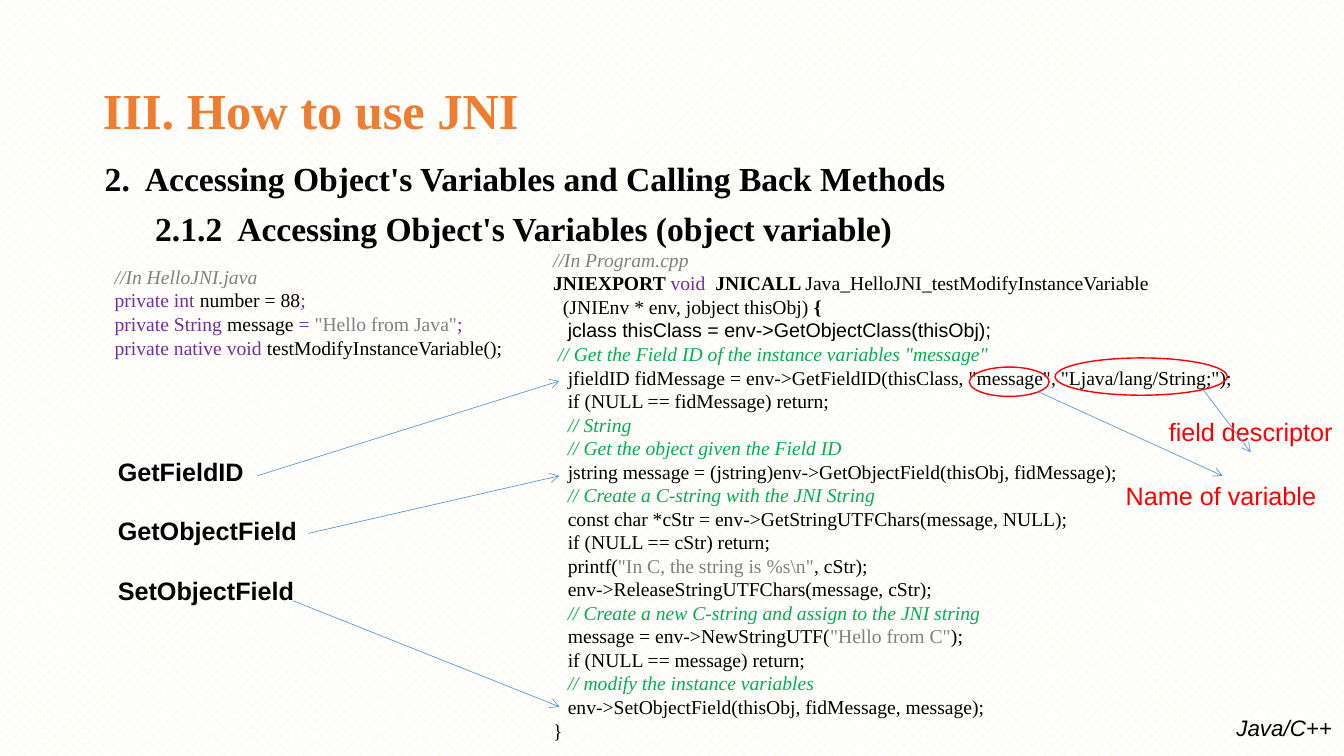
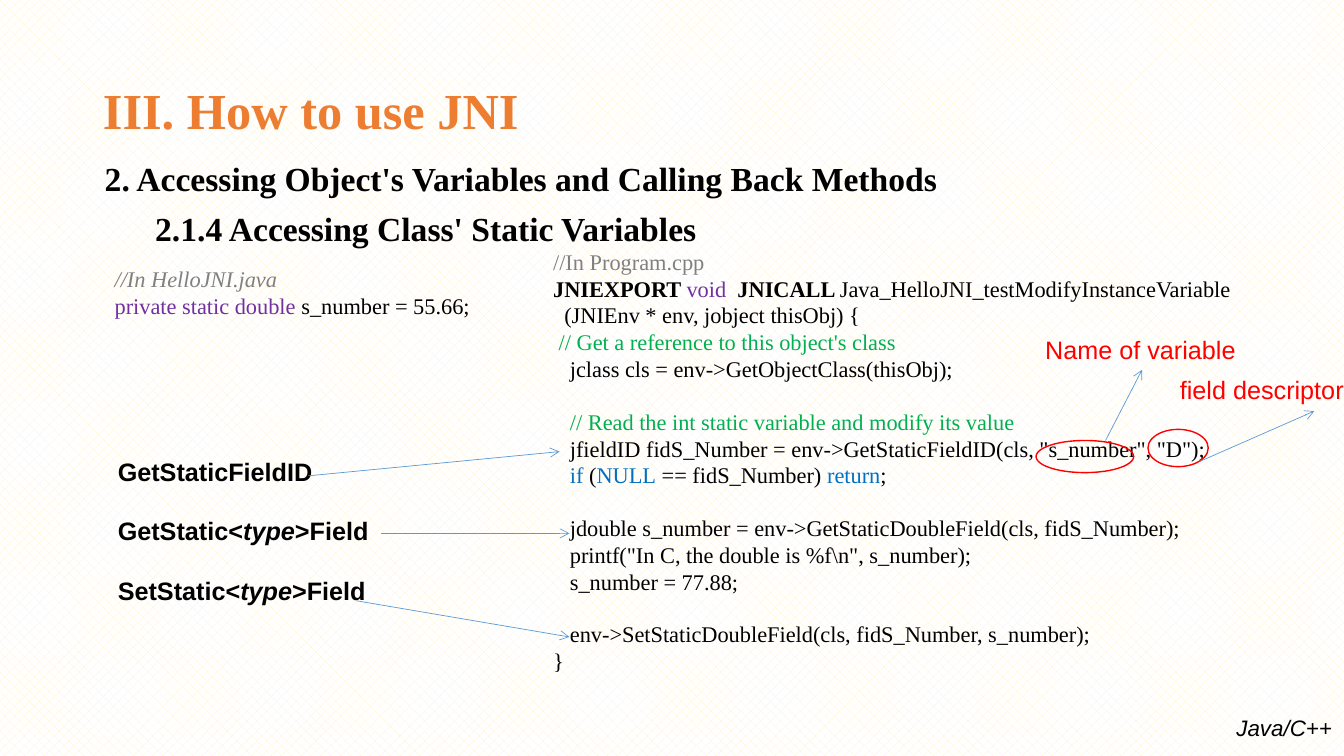
from dataclasses import dataclass, replace

from lxml.etree import SubElement
from pptx import Presentation
from pptx.dml.color import RGBColor
from pptx.enum.dml import MSO_PATTERN
from pptx.enum.shapes import MSO_CONNECTOR, MSO_SHAPE
from pptx.enum.text import MSO_ANCHOR, MSO_AUTO_SIZE, PP_ALIGN
from pptx.oxml.ns import qn
from pptx.util import Cm, Pt

BLACK = RGBColor(0x00, 0x00, 0x00)
WHITE = RGBColor(0xFF, 0xFF, 0xFF)
CREAM = RGBColor(0xFF, 0xF2, 0xCC)
ORANGE = RGBColor(0xED, 0x7D, 0x31)
GRAY = RGBColor(0x80, 0x80, 0x80)
PURPLE = RGBColor(0x70, 0x30, 0xA0)
GREEN = RGBColor(0x00, 0xB0, 0x50)
BLUE = RGBColor(0x00, 0x70, 0xC0)
RED = RGBColor(0xFF, 0x00, 0x00)
ARROW_BLUE = RGBColor(0x5B, 0x9B, 0xD5)
SERIF = "Times New Roman"
SANS = "Arial"
LINE_HEIGHT = 1.15


@dataclass(frozen=True)
class Look:
    color: RGBColor = BLACK
    bold: bool = False
    italic: bool = False
    font: str = SERIF


PLAIN = Look()
BOLD = Look(bold=True)
TITLE = Look(ORANGE, bold=True)
KEYWORD = Look(PURPLE)
STRING = Look(GRAY)
FILE_NOTE = Look(GRAY, italic=True)
COMMENT = Look(GREEN)
COMMENT_ITALIC = Look(GREEN, italic=True)
CONTROL = Look(BLUE)
SANS_PLAIN = Look(font=SANS)
FOOTER = Look(italic=True, font=SANS)
LABEL = Look(bold=True, font=SANS)
LABEL_TYPE = replace(LABEL, italic=True)
CALLOUT = Look(RED, font=SANS)


class Line:
    def __init__(self, *runs, indent=0, gap=False):
        self.runs, self.indent, self.gap = runs, indent, gap


def body(*runs, gap=False):
    return Line(*runs, indent=3, gap=gap)


class Deck:
    def __init__(self):
        self.prs = Presentation()
        self.prs.slide_width, self.prs.slide_height = Cm(33.87), Cm(19.05)
        fill = self.prs.slide_master.background.fill
        fill.patterned()
        fill.pattern = MSO_PATTERN.PERCENT_30
        fill.fore_color.rgb = CREAM
        fill.back_color.rgb = WHITE
        self.s = None

    def start(self, title, *headings):
        self.s = self.prs.slides.add_slide(self.prs.slide_layouts[5])
        self.text(30.91, 17.86, 2.95, 0.94, 16, [Line("Java/C++")], FOOTER)
        sp = self.s.shapes.title
        sp.left, sp.top, sp.width, sp.height = Cm(2.34), Cm(1.02), Cm(29.21), Cm(3.68)
        sp.text_frame.vertical_anchor = MSO_ANCHOR.MIDDLE
        self.set_lines(sp.text_frame, 36, [Line(title)], TITLE, spacing=0.9)
        section, topic = headings
        self.text(2.39, 3.96, 30.28, 13.18, 24,
                  [Line(section), Line(topic, indent=6)], BOLD,
                  wrap=True, spacing=0.9, before=10)

    def set_lines(self, tf, size, lines, look, spacing=1.0, before=0):
        tf.auto_size = MSO_AUTO_SIZE.NONE
        for i, line in enumerate(lines):
            p = tf.add_paragraph() if i else tf.paragraphs[0]
            p.alignment = PP_ALIGN.LEFT
            p.line_spacing = spacing
            p.space_before = Pt(size * LINE_HEIGHT if line.gap else before)
            pPr = p._p.get_or_add_pPr()
            pPr.set("marL", str(Pt(line.indent * size / 4)))
            pPr.set("indent", "0")
            for run in line.runs:
                words, style = (run, look) if isinstance(run, str) else run
                r = p.add_run()
                r.text = words
                r.font.size = Pt(size)
                r.font.name = style.font
                r.font.bold = style.bold
                r.font.italic = style.italic
                r.font.color.rgb = style.color

    def text(self, x, y, w, h, size, lines, look=PLAIN, wrap=False, **spacing):
        sp = self.s.shapes.add_textbox(Cm(x), Cm(y), Cm(w), Cm(h))
        sp.text_frame.word_wrap = wrap
        self.set_lines(sp.text_frame, size, lines, look, **spacing)

    def java(self, w, h, size, lines):
        self.text(2.64, 6.55, w, h, size, lines)

    def cpp(self, h, size, lines):
        self.text(13.69, 6.12, 18.77, h, size, lines, wrap=True)

    def labels(self, w, lines):
        self.text(2.72, 11.38, w, 4.11, 18, lines, LABEL)

    def callout(self, x, y, w, words):
        self.text(x, y, w, 1.02, 18, [Line(words)], CALLOUT)

    def ring(self, x, y, w, h):
        sp = self.s.shapes.add_shape(MSO_SHAPE.OVAL, Cm(x), Cm(y), Cm(w), Cm(h))
        sp.shadow.inherit = False
        sp.fill.background()
        sp.line.color.rgb = RED
        sp.line.width = Pt(1)

    def arrow(self, x1, y1, x2, y2):
        sp = self.s.shapes.add_connector(
            MSO_CONNECTOR.STRAIGHT, Cm(x1), Cm(y1), Cm(x2), Cm(y2))
        sp.line.color.rgb = ARROW_BLUE
        sp.line.width = Pt(0.5)
        spPr = sp._element.spPr
        SubElement(spPr.find(qn("a:ln")), qn("a:tailEnd"), type="arrow")
        SubElement(spPr, qn("a:effectLst"))


TITLE_TEXT = "III. How to use JNI"
SIGNATURE = Line(("JNIEXPORT ", BOLD), ("void  ", KEYWORD), ("JNICALL ", BOLD),
                 "Java_HelloJNI_testModifyInstanceVariable")
NAME_NOTE = "Name of variable"
DESCRIPTOR_NOTE = "\u00a0field descriptor"

deck = Deck()

deck.start(TITLE_TEXT,
           "2.  Accessing Object's Variables and Calling Back Methods",
           "2.1.2  Accessing Object's Variables (object variable)")
deck.java(10.36, 2.64, 14, [
    Line(("//In HelloJNI.java", FILE_NOTE)),
    Line(("private int", KEYWORD), " number = 88", (";", KEYWORD)),
    Line(("private String ", KEYWORD), "message", (" = ", KEYWORD),
         ('"Hello from Java"', STRING), (";", KEYWORD)),
    Line(("private native void ", KEYWORD), "testModifyInstanceVariable();"),
])
deck.cpp(12.83, 14, [
    Line(("//In Program.cpp", FILE_NOTE)),
    SIGNATURE,
    Line("(JNIEnv * env, jobject thisObj) ", ("{", BOLD), indent=2),
    body(("jclass thisClass = env->GetObjectClass(thisObj);", SANS_PLAIN)),
    Line(('// Get the Field ID of the instance variables "message"', COMMENT_ITALIC),
         indent=1),
    body('jfieldID fidMessage = env->GetFieldID(thisClass, "message", '
         '"Ljava/lang/String;");'),
    body("if (NULL == fidMessage) return;"),
    body(("// String", COMMENT_ITALIC)),
    body(("// Get the object given the Field ID", COMMENT_ITALIC)),
    body("jstring message = (jstring)env->GetObjectField(thisObj, fidMessage);"),
    body(("// Create a C-string with the JNI String", COMMENT_ITALIC)),
    body("const char *cStr = env->GetStringUTFChars(message, NULL);"),
    body("if (NULL == cStr) return;"),
    body("printf(", (r'"In C, the string is %s\n"', STRING), ", cStr);"),
    body("env->ReleaseStringUTFChars(message, cStr);"),
    body(("// Create a new C-string and assign to the JNI string", COMMENT_ITALIC)),
    body("message = env->NewStringUTF(", ('"Hello from C"', STRING), ");"),
    body("if (NULL == message) return;"),
    body(("// modify the instance variables", COMMENT_ITALIC)),
    body("env->SetObjectField(thisObj, fidMessage, message);"),
    Line("}"),
])
deck.ring(24.43, 9.25, 2.01, 0.74)
deck.ring(26.59, 9.02, 4.34, 0.94)
deck.callout(28.12, 11.99, 5.36, NAME_NOTE)
deck.callout(29.03, 10.36, 4.93, DESCRIPTOR_NOTE)
deck.arrow(26.14, 9.86, 30.81, 11.99)
deck.arrow(30.33, 9.83, 31.52, 11.4)
deck.labels(5.08, [Line("GetFieldID"), Line("GetObjectField", gap=True),
                   Line("SetObjectField", gap=True)])
deck.arrow(6.48, 11.99, 14.1, 9.6)
deck.arrow(7.77, 13.44, 14.1, 11.99)
deck.arrow(7.39, 15.14, 14.1, 17.81)

deck.start(TITLE_TEXT,
           "2. Accessing Object's Variables and Calling Back Methods",
           "2.1.4 Accessing Class' Static Variables")
deck.java(9.6, 1.63, 16, [
    Line(("//In HelloJNI.java", FILE_NOTE)),
    Line(("private static double ", KEYWORD), "s_number = 55.66;"),
])
deck.cpp(11.2, 16, [
    Line(("//In Program.cpp", STRING)),
    SIGNATURE,
    Line("(JNIEnv * env, jobject thisObj) {", indent=2),
    Line(("// Get a reference to this object's class", COMMENT), indent=1),
    body("jclass cls = env->GetObjectClass(thisObj);"),
    body(("// Read the int static variable and modify its value", COMMENT), gap=True),
    body('jfieldID fidS_Number = env->GetStaticFieldID(cls, "s_number", "D");'),
    body(("if", CONTROL), " (", ("NULL", CONTROL), " == fidS_Number) ",
         ("return", CONTROL), ";"),
    body("jdouble s_number = env->GetStaticDoubleField(cls, fidS_Number);", gap=True),
    body(r'printf("In C, the double is %f\n", s_number);'),
    body("s_number = 77.88;"),
    body("env->SetStaticDoubleField(cls, fidS_Number, s_number);", gap=True),
    Line("}"),
])
deck.ring(26.11, 11.1, 2.46, 0.81)
deck.ring(28.93, 10.82, 1.52, 0.94)
deck.callout(26.09, 8.31, 5.36, NAME_NOTE)
deck.callout(29.31, 9.32, 4.93, DESCRIPTOR_NOTE)
deck.arrow(27.86, 11.1, 28.78, 9.32)
deck.arrow(30.23, 11.63, 33.12, 10.36)
deck.labels(6.88, [Line("GetStaticFieldID")] + [
    Line(f"{verb}Static<", ("type", LABEL_TYPE), ">Field", gap=True)
    for verb in ("Get", "Set")])
deck.arrow(7.77, 11.99, 14.1, 11.38)
deck.arrow(9.6, 13.44, 14.35, 13.44)
deck.arrow(8.99, 15.14, 14.35, 16.05)

deck.prs.save("out.pptx")
